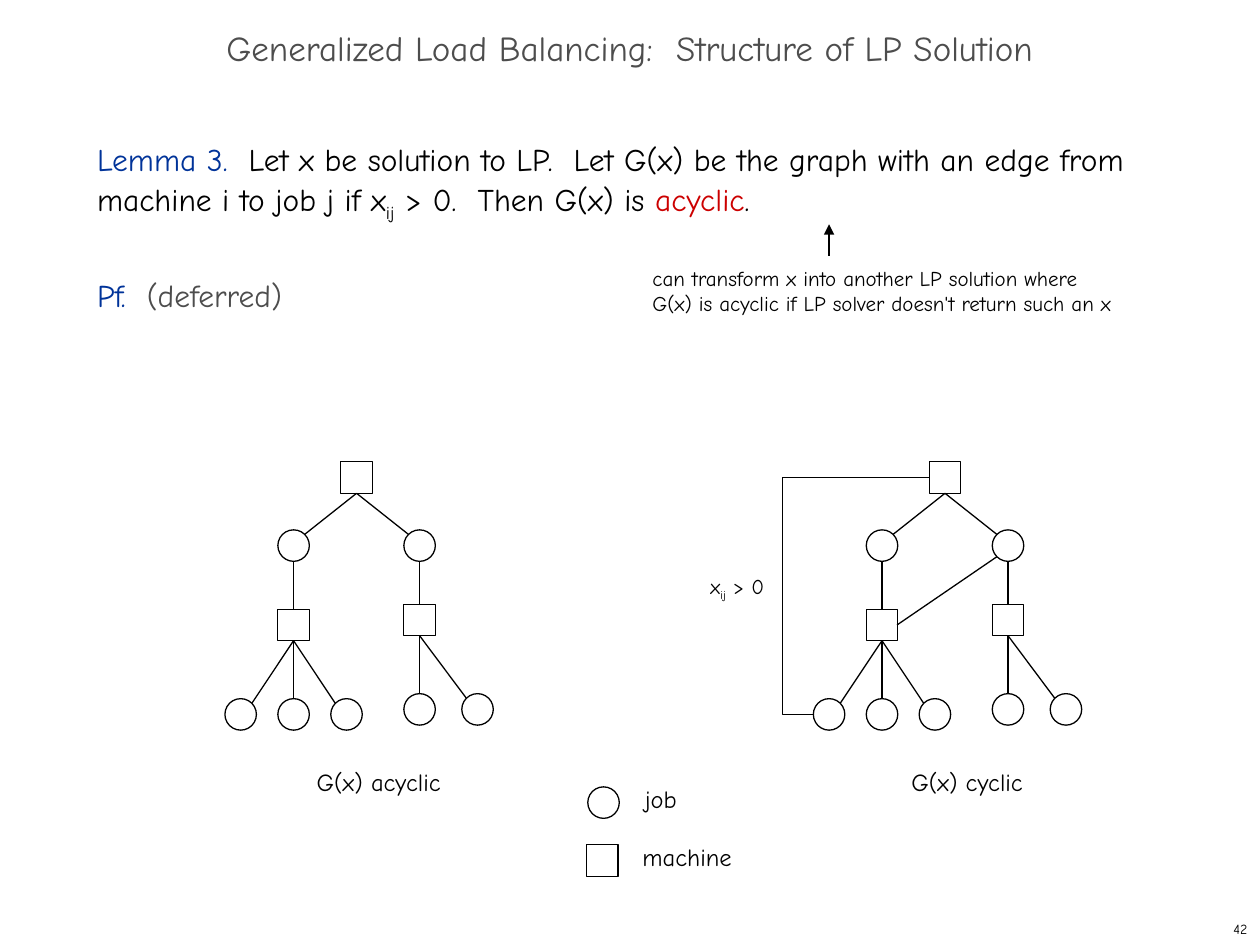
import lxml.etree
import pptx
import pptx.dml.color
import pptx.enum.shapes
import pptx.enum.text
import pptx.oxml.ns
import pptx.util
from pptx.util import Inches

FONT = "Comic Neue"
BLACK, GRAY, BLUE, RED = "000000", "4D4D4D", "003399", "CC0000"
NODE = 0.25
DIAGONAL = 0.09
SHAPE = pptx.enum.shapes.MSO_SHAPE
CONNECTOR = pptx.enum.shapes.MSO_CONNECTOR
ALIGN = pptx.enum.text.PP_ALIGN
ANCHOR = pptx.enum.text.MSO_ANCHOR
AUTO = pptx.enum.text.MSO_AUTO_SIZE


def rgb(value):
    return pptx.dml.color.RGBColor.from_string(value)


def add_xml(parent, tag, **attributes):
    return lxml.etree.SubElement(parent, pptx.oxml.ns.qn(tag), **attributes)


def place(sp, left, top, width, height):
    sp.left, sp.top = Inches(left), Inches(top)
    sp.width, sp.height = Inches(width), Inches(height)


def format_paragraph(p, size, color=BLACK, align=ALIGN.LEFT):
    p.alignment = align
    p.font.name = FONT
    p.font.size = pptx.util.Pt(size)
    p.font.color.rgb = rgb(color)


def add_runs(p, runs):
    for text, color, subscript in runs:
        r = p.add_run()
        r.text = text
        if color:
            r.font.color.rgb = rgb(color)
        if subscript:
            r._r.get_or_add_rPr().set("baseline", "-25000")


def add_text(s, runs, left, top, width, height, size=14, align=ALIGN.LEFT):
    sp = s.shapes.add_textbox(
        Inches(left), Inches(top), Inches(width), Inches(height))
    tf = sp.text_frame
    tf.word_wrap = False
    p = tf.paragraphs[0]
    format_paragraph(p, size, align=align)
    if isinstance(runs, str):
        p.text = runs
    else:
        add_runs(p, runs)
    return tf


def add_node(s, kind, cx, cy):
    sp = s.shapes.add_shape(
        kind, Inches(cx - NODE / 2), Inches(cy - NODE / 2),
        Inches(NODE), Inches(NODE))
    sp.shadow.inherit = False
    sp.fill.background()
    sp.line.color.rgb = rgb(BLACK)
    sp.line.width = pptx.util.Pt(0.75)


def add_edge(s, x1, y1, x2, y2, kind=CONNECTOR.STRAIGHT):
    sp = s.shapes.add_connector(
        kind, Inches(x1), Inches(y1), Inches(x2), Inches(y2))
    sp.line.color.rgb = rgb(BLACK)
    sp.line.width = pptx.util.Pt(0.75)
    add_xml(sp._element.spPr, "a:effectLst")
    return sp


def link_to_job(s, x, y, cx, cy):
    if x == cx:
        add_edge(s, x, y, cx, cy - NODE / 2)
    else:
        side = DIAGONAL if x > cx else -DIAGONAL
        add_edge(s, x, y, cx + side, cy - DIAGONAL)


def add_branch(s, cx, job_y, machine_y, leaf_y, leaves):
    add_node(s, SHAPE.OVAL, cx, job_y)
    add_edge(s, cx, job_y + NODE / 2, cx, machine_y - NODE / 2)
    add_node(s, SHAPE.RECTANGLE, cx, machine_y)
    for leaf in leaves:
        add_node(s, SHAPE.OVAL, cx + leaf, leaf_y)
        link_to_job(s, cx, machine_y + NODE / 2, cx + leaf, leaf_y)


def add_tree(s, left, top, label, label_width):
    root_x, root_y, job_y = left + 1.04, top + 0.12, top + 0.66
    add_node(s, SHAPE.RECTANGLE, root_x, root_y)
    branches = [(-0.5, 1.29, 2.0, (-0.42, 0, 0.42)),
                (0.5, 1.25, 1.96, (0, 0.46))]
    for dx, machine_dy, leaf_dy, leaves in branches:
        link_to_job(s, root_x, root_y + NODE / 2, root_x + dx, job_y)
        add_branch(s, root_x + dx, job_y, top + machine_dy,
                   top + leaf_dy, leaves)
    add_text(s, label, left + 1.22 - label_width / 2, top + 2.37,
             label_width, 0.33)


def add_cycle(s, left, top):
    add_edge(s, left + 1.45, top + 0.75, left + 0.66, top + 1.29)
    sp = add_edge(s, left, top + 2.0, left + 0.92, top + 0.12,
                  CONNECTOR.ELBOW)
    guides = sp._element.spPr.find(".//" + pptx.oxml.ns.qn("a:avLst"))
    add_xml(guides, "a:gd", name="adj1", fmla="val -27300")
    add_text(s, [("x", None, False), ("ij", None, True),
                 (" > 0", None, False)],
             left - 0.92, top + 0.83, 0.63, 0.33, size=12)


def add_legend(s, left, top):
    add_node(s, SHAPE.OVAL, left + 0.13, top + 0.2)
    add_text(s, "job", left + 0.36, top, 0.46, 0.33)
    add_node(s, SHAPE.RECTANGLE, left + 0.12, top + 0.66)
    add_text(s, "machine", left + 0.34, top + 0.46, 0.91, 0.33)


def add_note(s, left, top):
    add_text(s, "can transform x into another LP solution where\n"
             "G(x) is acyclic if LP solver doesn't return such an x",
             left, top, 3.85, 0.5, size=12)
    sp = add_edge(s, left + 1.5, top - 0.03, left + 1.5, top - 0.28)
    add_xml(sp.line._get_or_add_ln(), "a:tailEnd", type="triangle")


def fill_title(sp, left, top, width, height):
    place(sp, left, top, width, height)
    tf = sp.text_frame
    tf.auto_size = AUTO.NONE
    tf.vertical_anchor = ANCHOR.MIDDLE
    p = tf.paragraphs[0]
    p.text = "Generalized Load Balancing:  Structure of LP Solution"
    p.line_spacing = 0.7
    format_paragraph(p, 20, GRAY, ALIGN.CENTER)


def fill_body(sp, left, top, width, height):
    place(sp, left, top, width, height)
    tf = sp.text_frame
    tf.auto_size = AUTO.NONE
    tf.vertical_anchor = ANCHOR.TOP
    lemma = [
        ("Lemma 3.  ", BLUE, False),
        ("Let x be solution to LP.  Let G(x) be the graph with an edge "
         "from machine i to job j if x", None, False),
        ("ij", None, True),
        (" > 0.  Then G(x) is ", None, False),
        ("acyclic", RED, False),
        (".", None, False)]
    proof = [("Pf.  ", BLUE, False), ("(deferred)", GRAY, False)]
    for p, runs, before in [(tf.paragraphs[0], lemma, 0),
                            (tf.add_paragraph(), proof, 26)]:
        p.line_spacing = pptx.util.Pt(26)
        p.space_before = pptx.util.Pt(before)
        pPr = p._p.get_or_add_pPr()
        pPr.set("marL", "0")
        pPr.set("indent", "0")
        add_xml(pPr, "a:buNone")
        format_paragraph(p, 18)
        add_runs(p, runs)


def main():
    prs = pptx.Presentation()
    prs.slide_width, prs.slide_height = Inches(10), Inches(7.5)
    s = prs.slides.add_slide(prs.slide_layouts[1])
    fill_title(s.shapes.title, 0, 0.17, 10, 0.5)
    fill_body(s.placeholders[1], 0.67, 1, 8.83, 5.92)
    add_note(s, 5.08, 2.06)
    add_tree(s, 1.79, 3.67, "G(x) acyclic", 1.19)
    add_tree(s, 6.46, 3.67, "G(x) cyclic", 1.09)
    add_cycle(s, 6.46, 3.67)
    add_legend(s, 4.66, 6.17)
    tf = add_text(s, "42", 7.92, 7.25, 2.08, 0.25, 8, ALIGN.RIGHT)
    tf.vertical_anchor = ANCHOR.MIDDLE
    prs.save("out.pptx")


if __name__ == "__main__":
    main()
